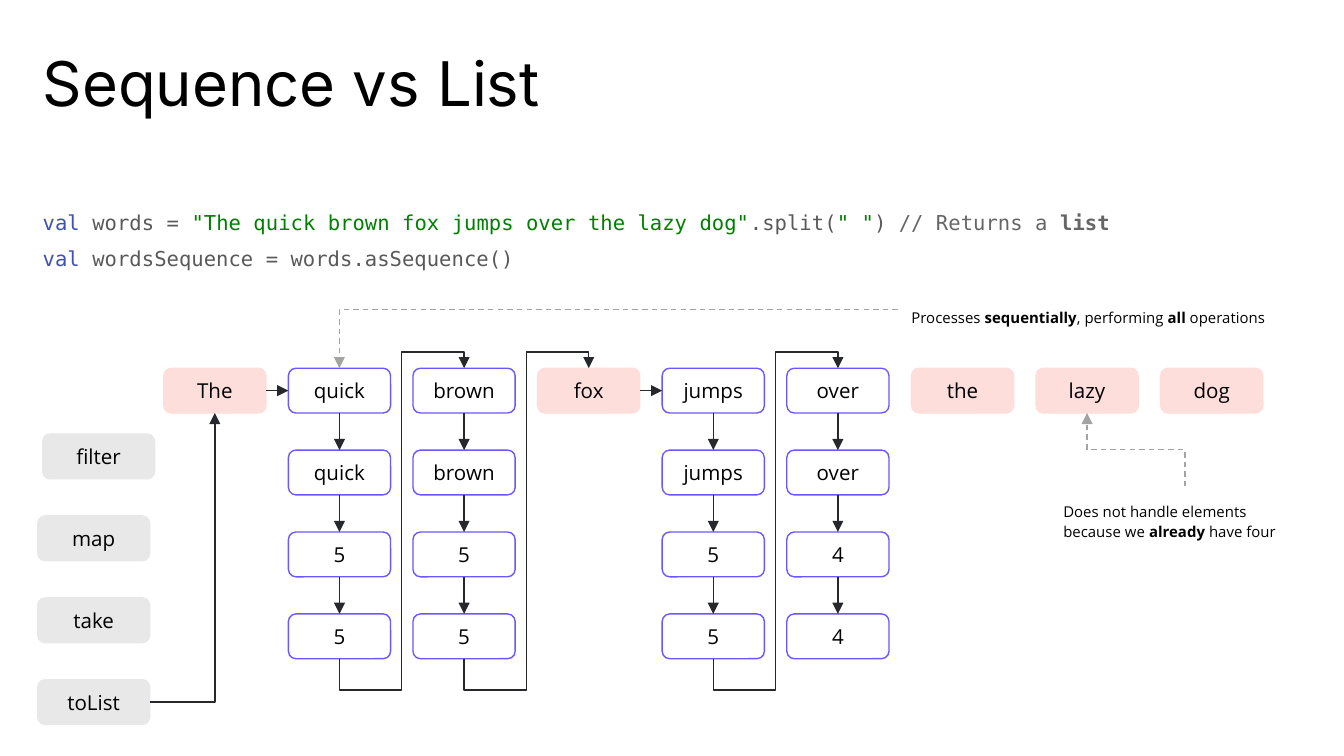
from dataclasses import dataclass

from lxml.etree import SubElement
from pptx import Presentation
from pptx.dml.color import RGBColor
from pptx.enum.dml import MSO_LINE
from pptx.enum.shapes import MSO_CONNECTOR, MSO_SHAPE
from pptx.enum.text import MSO_ANCHOR, PP_ALIGN
from pptx.oxml.ns import qn
from pptx.util import Emu, Pt

EMU_PER_PX = 914400 // 192  # the slide is 1920 px wide
COLORS = {
    "black": "000000", "white": "FFFFFF", "gray": "E8E8E8", "pink": "FEDEDB",
    "violet": "6B57FF", "arrow": "27282C", "hint": "A3A3A4", "keyword": "3F51B5",
    "code": "595959", "string": "008000", "comment": "666666",
}
TITLE_FONT, CODE_FONT, LABEL_FONT = "Inter", "DejaVu Sans Mono", "Open Sans"
TOP, LEFT, BOTTOM, RIGHT = range(4)

# Grid of word boxes and column of operation boxes
GRID_LEFT, GRID_TOP, COLUMN_STEP, ROW_STEP = 234, 526, 178, 117
BOX_WIDTH, BOX_HEIGHT = 146, 64
OPERATION_LEFT, OPERATION_TOP, OPERATION_WIDTH = 54, 620, 160


@dataclass(frozen=True)
class Run:
    text: str
    color: str = "black"
    bold: bool = False


@dataclass(frozen=True)
class Line:
    runs: tuple[Run, ...]
    formats: dict


@dataclass(frozen=True)
class TextBlock:
    left: int
    top: int
    width: int
    height: int
    font: str
    size: int
    margins: dict
    lines: tuple[Line, ...]


@dataclass(frozen=True)
class Word:
    text: str
    length: str = ""  # empty when the word gets no further than the first row


@dataclass(frozen=True)
class Elbow:
    preset: str
    left: int
    top: int
    width: int
    height: int
    rotation: int
    flipped: bool = False
    adjustments: tuple[int, ...] = ()
    color: str = "arrow"


def px(value: float) -> Emu:
    return Emu(round(value * EMU_PER_PX))


def rgb(name: str) -> RGBColor:
    return RGBColor.from_string(COLORS[name])


def apply(target, formats: dict) -> None:
    for name, value in formats.items():
        setattr(target, name, value)


def add_run(paragraph, run: Run, font: str, size: int) -> None:
    text_run = paragraph.add_run()
    text_run.text = run.text
    apply(text_run.font, {"name": font, "size": Pt(size), "bold": run.bold})
    text_run.font.color.rgb = rgb(run.color)


def add_text(slide, block: TextBlock) -> None:
    shape = slide.shapes.add_textbox(px(block.left), px(block.top), px(block.width), px(block.height))
    frame = shape.text_frame
    apply(frame, {"word_wrap": True, **block.margins})
    for index, line in enumerate(block.lines):
        paragraph = frame.add_paragraph() if index else frame.paragraphs[0]
        apply(paragraph, line.formats)
        for run in line.runs:
            add_run(paragraph, run, block.font, block.size)


def add_box(slide, text: str, left: int, top: int, width: int, fill: str, outline: str):
    shape = slide.shapes.add_shape(
        MSO_SHAPE.ROUNDED_RECTANGLE, px(left), px(top), px(width), px(BOX_HEIGHT))
    shape.shadow.inherit = False
    shape.fill.solid()
    shape.fill.fore_color.rgb = rgb(fill)
    shape.line.color.rgb = rgb(outline)
    shape.line.width = Pt(0.75)
    apply(shape.text_frame, {"vertical_anchor": MSO_ANCHOR.MIDDLE, **margins(19, 19)})
    paragraph = shape.text_frame.paragraphs[0]
    paragraph.alignment = PP_ALIGN.CENTER
    add_run(paragraph, Run(text), LABEL_FONT, 11)
    return shape


def margins(side: int, top: int, bottom: int | None = None) -> dict:
    return {
        "margin_left": px(side), "margin_right": px(side), "margin_top": px(top),
        "margin_bottom": px(top if bottom is None else bottom),
    }


def style_arrow(connector, color: str) -> None:
    apply(connector.line, {"width": Pt(0.75)})
    connector.line.color.rgb = rgb(color)
    if color == "hint":
        connector.line.dash_style = MSO_LINE.DASH
    properties = connector._element.spPr
    SubElement(properties.find(qn("a:ln")), qn("a:tailEnd"), type="triangle")
    SubElement(properties, qn("a:effectLst"))


def join(slide, source, source_side: int, target, target_side: int) -> None:
    connector = slide.shapes.add_connector(MSO_CONNECTOR.STRAIGHT, 0, 0, 0, 0)
    connector.begin_connect(source, source_side)
    connector.end_connect(target, target_side)
    style_arrow(connector, "arrow")


def add_elbow(slide, elbow: Elbow) -> None:
    """Place an elbow by its visible bounds; a quarter turn swaps the frame's sides."""
    width, height = elbow.width, elbow.height
    if elbow.rotation in (90, 270):
        width, height = height, width
    left = elbow.left + (elbow.width - width) / 2
    top = elbow.top + (elbow.height - height) / 2
    connector = slide.shapes.add_connector(
        MSO_CONNECTOR.ELBOW, px(left), px(top), px(left + width), px(top + height))
    properties = connector._element.spPr
    transform = properties.find(qn("a:xfrm"))
    transform.set("rot", str(elbow.rotation * 60000))
    transform.set("flipH", str(int(elbow.flipped)))
    geometry = properties.find(qn("a:prstGeom"))
    geometry.set("prst", elbow.preset)
    guides = geometry.find(qn("a:avLst"))
    for number, value in enumerate(elbow.adjustments, 1):
        SubElement(guides, qn("a:gd"), name=f"adj{number}", fmla=f"val {value}")
    style_arrow(connector, elbow.color)


TEXT_BLOCKS = (
    TextBlock(61, 280, 1749, 144, CODE_FONT, 11, margins(0, 15, 0), (
        Line((Run("val", "keyword"), Run(" words = ", "code"),
              Run('"The quick brown fox jumps over the lazy dog"', "string"),
              Run(".split(", "code"), Run('" "', "string"), Run(") ", "code"),
              Run("// Returns a ", "comment"), Run("list", "comment", True)),
             {"line_spacing": 1.15}),
        Line((Run("val ", "keyword"), Run("wordsSequence = words.asSequence()", "code")),
             {"line_spacing": 1.15, "space_before": Pt(4), "space_after": Pt(4)}))),
    TextBlock(61, 61, 1786, 96, TITLE_FONT, 33, margins(0, 19), (
        Line((Run("Sequence vs List"),), {"line_spacing": 0.85}),)),
    TextBlock(1283, 409, 582, 65, LABEL_FONT, 8, margins(19, 19), (
        Line((Run("Processes "), Run("sequentially", bold=True), Run(", performing "),
              Run("all", bold=True), Run(" operations")), {"line_spacing": 1.5}),)),
    TextBlock(1500, 695, 386, 94, LABEL_FONT, 8, margins(19, 19), (
        Line((Run("Does not handle elements because we "), Run("already", bold=True),
              Run(" have four")), {"line_spacing": 1.15}),)),
)
OPERATIONS = ("filter", "map", "take", "toList")
WORDS = (
    Word("The"), Word("quick", "5"), Word("brown", "5"), Word("fox"), Word("jumps", "5"),
    Word("over", "4"), Word("the"), Word("lazy"), Word("dog"),
)
LAST_PROCESSED = 5


def main() -> None:
    presentation = Presentation()
    presentation.slide_width, presentation.slide_height = px(1920), px(1080)
    slide = presentation.slides.add_slide(presentation.slide_layouts[6])

    # Title, code and notes
    for block in TEXT_BLOCKS:
        add_text(slide, block)

    # Operations; the first sits slightly to the right
    for row, name in enumerate(OPERATIONS):
        left = OPERATION_LEFT + (0 if row else 7)
        add_box(slide, name, left, OPERATION_TOP + row * ROW_STEP, OPERATION_WIDTH, "gray", "gray")

    # Words and their intermediate results
    columns = []
    for index, word in enumerate(WORDS):
        texts = (word.text, word.text, word.length, word.length) if word.length else (word.text,)
        fill, outline = ("white", "violet") if word.length else ("pink", "pink")
        columns.append([
            add_box(slide, text, GRID_LEFT + index * COLUMN_STEP, GRID_TOP + row * ROW_STEP,
                    BOX_WIDTH, fill, outline)
            for row, text in enumerate(texts)])

    # Processing order: down each column, then on to the next word
    centers = [GRID_LEFT + BOX_WIDTH // 2 + index * COLUMN_STEP for index in range(len(WORDS))]
    loop_height = 3 * ROW_STEP + BOX_HEIGHT
    for index, column in enumerate(columns[:LAST_PROCESSED + 1]):
        for upper, lower in zip(column, column[1:]):
            join(slide, upper, BOTTOM, lower, TOP)
        if index == LAST_PROCESSED:
            break
        if WORDS[index].length:
            add_elbow(slide, Elbow("bentConnector5", centers[index], GRID_TOP, COLUMN_STEP,
                                   loop_height, 270, adjustments=(-10800, 50000, 105600)))
        else:
            join(slide, column[0], RIGHT, columns[index + 1][0], LEFT)

    # Start arrow and dashed pointers from the notes
    box_bottom = GRID_TOP + BOX_HEIGHT
    start_left = OPERATION_LEFT + OPERATION_WIDTH
    start_level = OPERATION_TOP + 3 * ROW_STEP + BOX_HEIGHT // 2
    for elbow in (
        Elbow("bentConnector2", start_left, box_bottom, centers[0] - start_left,
              start_level - box_bottom, 180, True),
        Elbow("bentConnector2", centers[1], 442, 1283 - centers[1], GRID_TOP - 442, 0, True,
              color="hint"),
        Elbow("bentConnector3", centers[7], box_bottom, 1693 - centers[7], 695 - box_bottom,
              90, True, (50000,), "hint"),
    ):
        add_elbow(slide, elbow)

    presentation.save("out.pptx")


if __name__ == "__main__":
    main()
